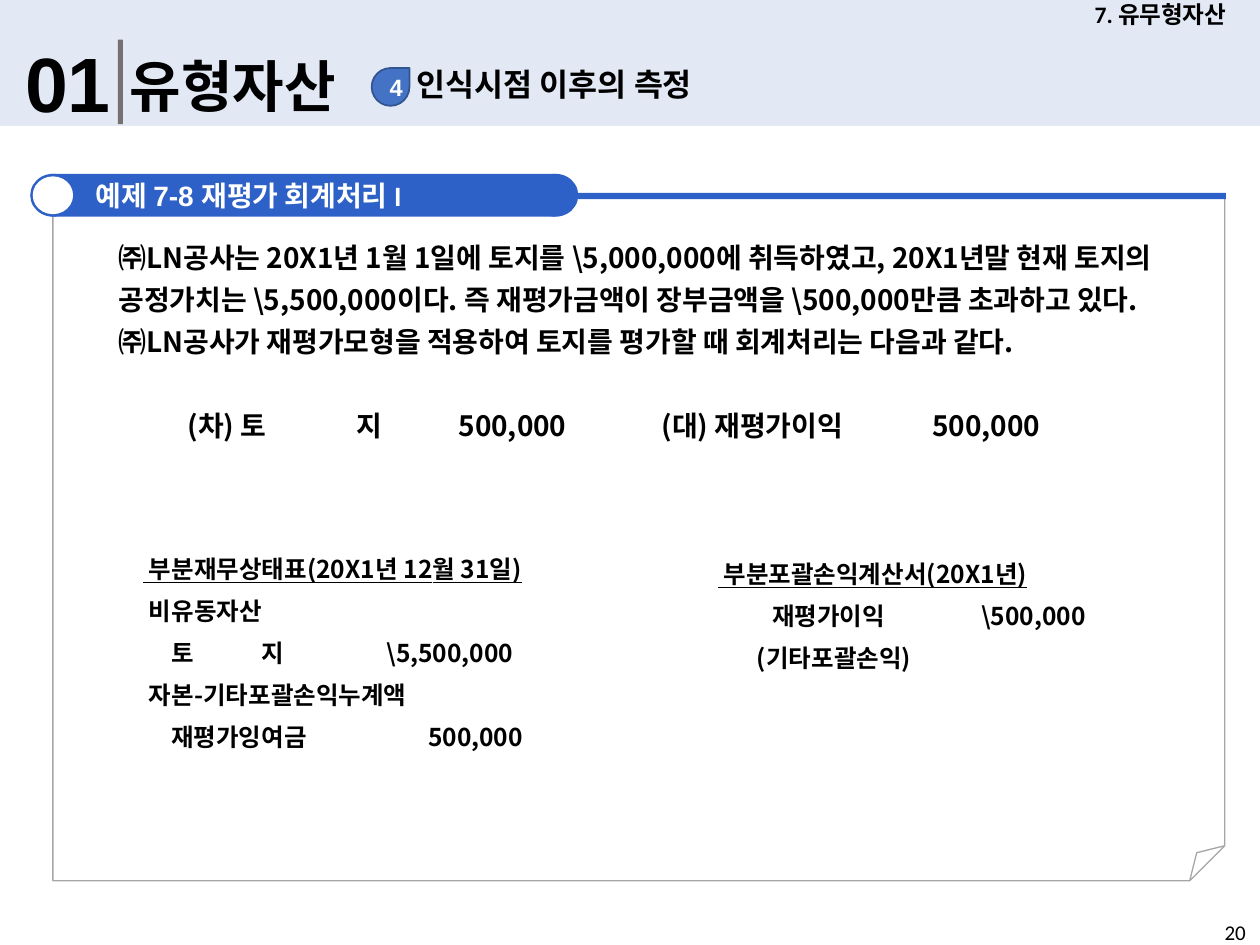
"""Build the slide on subsequent measurement of tangible assets: revaluation example 7-8."""
import pptx
import pptx.util
import pptx.dml.color
import pptx.enum.shapes
import pptx.enum.text
import pptx.oxml
import pptx.oxml.ns

Pt, Inches = pptx.util.Pt, pptx.util.Inches
RGB = pptx.dml.color.RGBColor.from_string
KIND = pptx.enum.shapes.MSO_SHAPE
ALIGN = pptx.enum.text.PP_ALIGN
ANCHOR = pptx.enum.text.MSO_ANCHOR

THEME = {
    "band": "DAE3F3", "bar": "767171", "badge": "4472C4", "badge_edge": "325491",
    "banner": "2D61C8", "frame": "A6A6A6", "ink": "000000", "paper": "FFFFFF",
    "latin": "Arial", "heading": "Calibri", "body": "Noto Sans CJK KR",
    "number": 44, "title": 32, "topic": 18, "example": 16, "statement": 14,
    "label": 13.5, "page": 12, "leading": 24,
}

deck = pptx.Presentation()
deck.slide_width, deck.slide_height = Inches(10), Inches(7.5)
col, row = deck.slide_width / 100, deck.slide_height / 75
slide = deck.slides.add_slide(deck.slide_layouts[5])


def draw(kind, left, top, width, height, fill=None, line=None, weight=1):
    """Add a preset shape, or a text box when kind is None, on the 100 x 75 grid."""
    place = [round(n) for n in (left * col, top * row, width * col, height * row)]
    if kind is None:
        box = slide.shapes.add_textbox(*place)
        box.text_frame.word_wrap = True
        return box
    shape = slide.shapes.add_shape(kind, *place)
    shape.shadow.inherit = False
    if fill:
        shape.fill.solid()
        shape.fill.fore_color.rgb = RGB(THEME[fill])
    else:
        shape.fill.background()
    if line:
        shape.line.color.rgb = RGB(THEME[line])
        shape.line.width = Pt(weight)
    else:
        shape.line.fill.background()
    return shape


def write(shape, paragraphs, size, font, ink="ink", bold=True, tabs=(), frame=None, **layout):
    """Fill a shape with paragraphs of (text, font format) runs and tab stops in inches."""
    for name, value in (frame or {}).items():
        setattr(shape.text_frame, name, value)
    for number, runs in enumerate(paragraphs):
        paragraph = shape.text_frame.paragraphs[0] if number == 0 else shape.text_frame.add_paragraph()
        if number < len(tabs) and tabs[number]:
            stops = "".join(f'<a:tab pos="{Inches(stop)}" algn="l"/>' for stop in tabs[number])
            paragraph._p.get_or_add_pPr().append(pptx.oxml.parse_xml(
                f'<a:tabLst {pptx.oxml.ns.nsdecls("a")}>{stops}</a:tabLst>'))
        for name, value in ({"alignment": ALIGN.LEFT} | layout).items():
            setattr(paragraph, name, value)
        for text, changes in runs:
            run = paragraph.add_run()
            run.text = text
            look = {"size": Pt(THEME[size]), "name": THEME[font], "bold": bold} | changes
            for name, value in look.items():
                setattr(run.font, name, value)
            run.font.color.rgb = RGB(THEME[ink])


band = draw(KIND.RECTANGLE, 0, 0, 100, 10, "band")
band_color = band._element.spPr.find(".//" + pptx.oxml.ns.qn("a:srgbClr"))
band_color.append(pptx.oxml.parse_xml(f'<a:alpha {pptx.oxml.ns.nsdecls("a")} val="76000"/>'))

write(draw(None, 1, 2.3, 9.1, 8.4), [[("01", {})]], "number", "latin")
draw(KIND.RECTANGLE, 9.35, 3.15, 0.4, 6.7, "bar")

title = slide.shapes.title
slide.shapes._spTree.append(title._element)
title.left, title.top, title.width, title.height = [
    round(n) for n in (9.3 * col, 3.6 * row, 56.1 * col, 6.4 * row)]
write(title, [[("유형자산", {})]], "title", "heading",
      frame={"vertical_anchor": ANCHOR.TOP, "auto_size": pptx.enum.text.MSO_AUTO_SIZE.NONE})

write(draw(None, 32.1, 4.7, 30.9, 4), [[("인식시점 이후의 측정", {})]], "topic", "heading")
write(draw(KIND.TEAR, 29.5, 5.4, 3, 3, "badge", "badge_edge"), [[("4", {})]],
      "label", "latin", "paper", frame={"vertical_anchor": ANCHOR.MIDDLE}, alignment=ALIGN.CENTER)
write(draw(None, 84.2, 0, 15.8, 2.3), [[("7. 유무형자산", {})]], "label", "heading",
      frame={"vertical_anchor": ANCHOR.MIDDLE}, alignment=ALIGN.CENTER)

page_frame = draw(KIND.FOLDED_CORNER, 4.2, 15.5, 93, 54.4, None, "frame", 0.75)
fold = page_frame._element.spPr.find(".//" + pptx.oxml.ns.qn("a:avLst"))
fold.append(pptx.oxml.parse_xml(
    f'<a:gd {pptx.oxml.ns.nsdecls("a")} name="adj" fmla="val 5100"/>'))
draw(KIND.RECTANGLE, 4.3, 15.3, 93, 0.5, "banner")
for cap_left in (2.4, 42.3):
    draw(KIND.OVAL, cap_left, 13.8, 3.6, 3.4, "banner")
write(draw(KIND.RECTANGLE, 4.1, 13.8, 40, 3.4, "banner"),
      [[("예제 ", {}), ("7-8 ", {"name": THEME["latin"]}), ("재평가 회계처리 I", {})]],
      "example", "heading", "paper",
      frame={"vertical_anchor": ANCHOR.MIDDLE, "margin_left": Inches(0.35)})
draw(KIND.OVAL, 2.6, 14, 3.2, 3, "paper")

example = draw(None, 8.3, 17.9, 85.1, 46.6)
write(example, [
    [("㈜LN공사는 20X1년 1월 1일에 토지를 \\5,000,000에 취득하였고, 20X1년말 현재 "
      "토지의 공정가치는 \\5,500,000이다. 즉 재평가금액이 장부금액을 \\500,000만큼 "
      "초과하고 있다. ㈜LN공사가 재평가모형을 적용하여 토지를 평가할 때 회계처리는 다음과 같다.", {})],
    [("\t(차) 토\t지\t500,000\t(대) 재평가이익\t500,000", {})],
], "example", "body", tabs=[(), (0.55, 1.89, 2.7, 4.31, 6.46)],
    frame={"margin_left": Inches(0.11), "margin_right": Inches(0.11)},
    line_spacing=Pt(THEME["leading"]))
example.text_frame.paragraphs[1].space_before = Pt(THEME["leading"])

underlined = {"underline": True}
statements = [
    (10.4, 42.5, 50, 17.8, [
        [(" 부분재무상태표(20X1년 12월 31일)", underlined)],
        [(" 비유동자산", {})],
        [("\t토\t지\t\\5,500,000", {})],
        [(" 자본-기타포괄손익누계액\t", {}), ("\t", underlined)],
        [("\t재평가잉여금\t500,000", {})],
    ], [(), (), (0.22, 0.94, 1.93), (2.63, 2.84), (0.22, 2.26)]),
    (56, 42.9, 44, 11.1, [
        [(" 부분포괄손익계산서(20X1년)", underlined)],
        [("\t재평가이익\t\\500,000", {})],
        [("\t(기타포괄손익)", {})],
    ], [(), (0.43, 2.09), (0.31,)]),
]
for left, top, width, height, entries, tabs in statements:
    write(draw(None, left, top, width, height), entries, "statement", "body",
          tabs=tabs, line_spacing=Pt(THEME["leading"]))

write(draw(None, 96.2, 72.5, 3.8, 2.5), [[("20", {})]], "page", "heading",
      bold=False, frame={"margin_right": 0})

deck.save("out.pptx")
